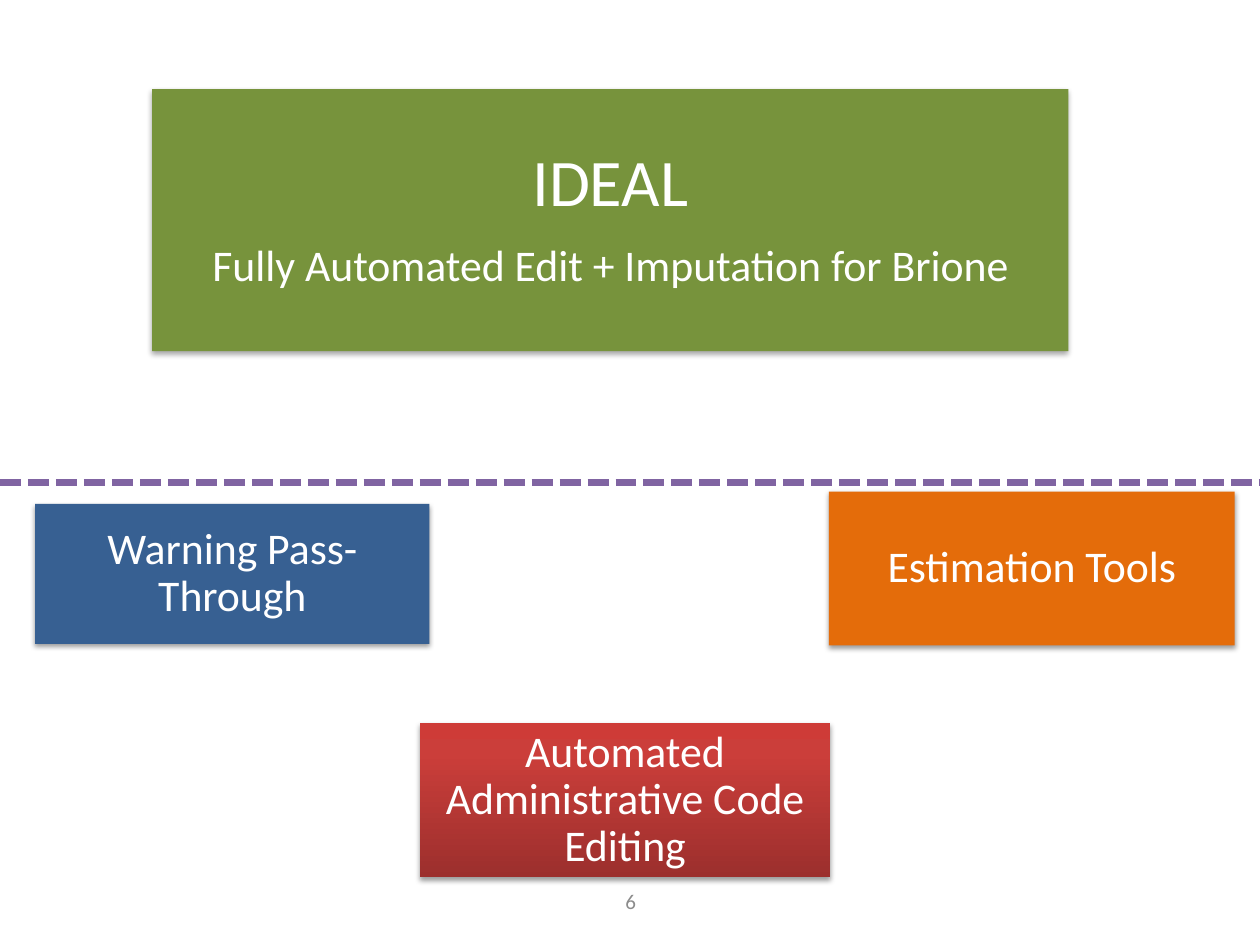
from lxml import etree
from pptx import Presentation
from pptx.dml.color import RGBColor
from pptx.enum.dml import MSO_LINE
from pptx.enum.shapes import MSO_CONNECTOR, MSO_SHAPE
from pptx.enum.text import MSO_ANCHOR, PP_ALIGN
from pptx.oxml import parse_xml
from pptx.oxml.ns import nsdecls, qn
from pptx.util import Cm, Pt

RECT = MSO_SHAPE.RECTANGLE
STRAIGHT = MSO_CONNECTOR.STRAIGHT
MIDDLE = MSO_ANCHOR.MIDDLE
CENTER = PP_ALIGN.CENTER
SHORT_DASH = MSO_LINE.SQUARE_DOT

THEME = {
    "font": "Calibri",
    "text": "FFFFFF", "number": "8C8C8C", "divider": "8064A2",
    "ideal": "77933C", "warning": "376092", "estimation": "E46C0A",
    "editing": [(0, "9C2F2D"), (80, "CB3E3A"), (100, "CE3B37")],
    "heading_size": 38, "body_size": 25, "number_size": 12,
}


def write_lines(tf, lines, color, margin=None, **paragraph_format):
    """Fill a text frame with centred (text, size) lines."""
    tf.word_wrap = True
    tf.vertical_anchor = MIDDLE
    if margin is not None:
        for side in ("left", "top", "right", "bottom"):
            setattr(tf, f"margin_{side}", Cm(margin))
    for i, (text, size) in enumerate(lines):
        p = tf.add_paragraph() if i else tf.paragraphs[0]
        p.alignment = CENTER
        for name, value in paragraph_format.items():
            setattr(p, name, value)
        if i < len(lines) - 1:
            p.space_after = Pt(round(size * 0.35))
        r = p.add_run()
        r.text = text
        for name, value in {"name": THEME["font"], "size": Pt(size)}.items():
            setattr(r.font, name, value)
        r.font.color.rgb = RGBColor.from_string(color)


def add_shadow(sp, opacity, distance):
    """Give a shape a soft shadow straight below it."""
    sp._element.spPr.append(parse_xml(
        f'<a:effectLst {nsdecls("a")}><a:outerShdw blurRad="{Pt(3.1)}" '
        f'dist="{Pt(distance)}" dir="5400000" rotWithShape="0">'
        f'<a:srgbClr val="000000"><a:alpha val="{opacity * 1000}"/></a:srgbClr>'
        '</a:outerShdw></a:effectLst>'))


prs = Presentation()
prs.slide_width, prs.slide_height = Cm(25.4), Cm(19.05)
s = prs.slides.add_slide(prs.slide_layouts[6])

# Boxes: position, fill, lines, margin, shadow opacity and distance
body = THEME["body_size"]
boxes = [
    ((3.07, 1.8, 18.47, 5.28), "ideal",
     [("IDEAL", THEME["heading_size"]),
      ("Fully Automated Edit + Imputation for Brione", body)], 0.08, 35, 1.8),
    ((0.71, 10.16, 7.95, 2.82), "warning",
     [("Warning Pass-Through", body)], 0.05, 38, 1.6),
    ((16.71, 9.91, 8.18, 3.1), "estimation",
     [("Estimation Tools", body)], 0.05, 38, 1.6),
    ((8.46, 14.58, 8.28, 3.1), "editing",
     [("Automated Administrative Code Editing", body)], 0.05, 38, 1.6),
]
for place, role, lines, margin, opacity, distance in boxes:
    sp = s.shapes.add_shape(RECT, *map(Cm, place))
    sp.line.fill.background()
    fill = THEME[role]
    if isinstance(fill, str):
        sp.fill.solid()
        sp.fill.fore_color.rgb = RGBColor.from_string(fill)
    else:
        sp.fill.gradient()
        sp.fill.gradient_angle = 90
        stops = sp._element.spPr.find(qn("a:gradFill")).find(qn("a:gsLst"))
        for stop in list(stops):
            stops.remove(stop)
        for position, color in fill:
            stop = etree.SubElement(stops, qn("a:gs"), pos=str(position * 1000))
            etree.SubElement(stop, qn("a:srgbClr"), val=color)
    add_shadow(sp, opacity, distance)
    write_lines(sp.text_frame, lines, THEME["text"], margin, line_spacing=0.9)

# Slide number
sp = s.shapes.add_textbox(Cm(8.69), Cm(17.65), Cm(8.05), Cm(1.02))
write_lines(sp.text_frame, [("6", THEME["number_size"])], THEME["number"])

# Dashed divider across the slide
divider = s.shapes.add_connector(STRAIGHT, 0, Cm(9.73), prs.slide_width, Cm(9.73))
divider.line.color.rgb = RGBColor.from_string(THEME["divider"])
divider.line.width = Pt(4)
divider.line.dash_style = SHORT_DASH
etree.SubElement(divider._element.spPr, qn("a:effectLst"))

prs.save("out.pptx")
